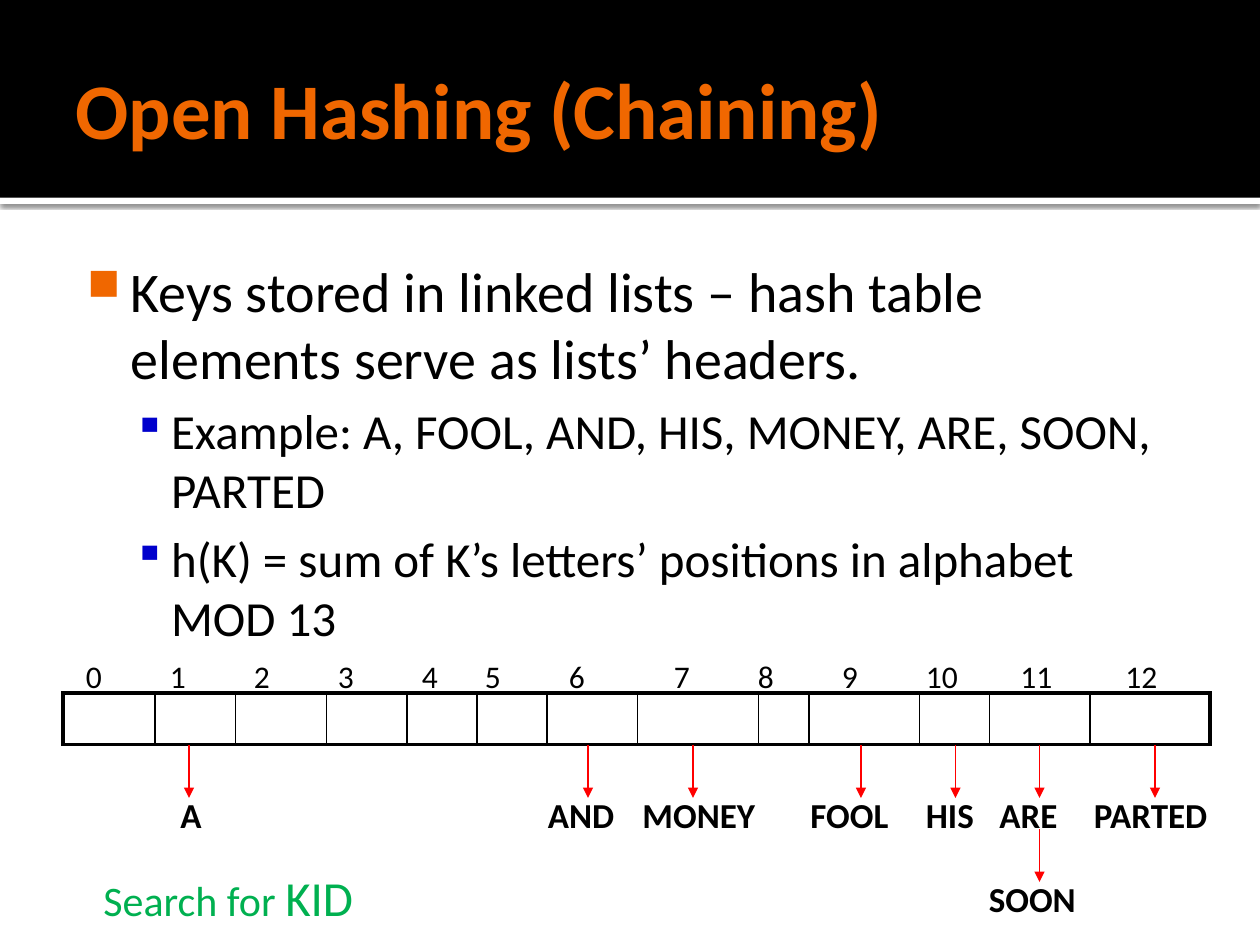
from lxml import etree
from pptx import Presentation
from pptx.dml.color import RGBColor
from pptx.enum.shapes import MSO_CONNECTOR, MSO_SHAPE
from pptx.enum.text import MSO_ANCHOR, PP_ALIGN
from pptx.oxml import parse_xml
from pptx.util import Pt

LEFT, MIDDLE, TOP = PP_ALIGN.LEFT, MSO_ANCHOR.MIDDLE, MSO_ANCHOR.TOP
RECT, STRAIGHT = MSO_SHAPE.RECTANGLE, MSO_CONNECTOR.STRAIGHT
NS = "http://schemas.openxmlformats.org/drawingml/2006/main"
FONT = "Calibri"
BLACK, WHITE, ORANGE, BLUE, RED, GREEN = "000000", "FFFFFF", "F06700", "0000CC", "FF0000", "00B050"

TITLE = "Open Hashing (Chaining)"
BODY = [
    (0, "Keys stored in linked lists – hash table elements serve as lists’ headers."),
    (1, "Example: A, FOOL, AND, HIS, MONEY, ARE, SOON, PARTED"),
    (1, "h(K) = sum of K’s letters’ positions in alphabet MOD 13"),
]
LEVELS = [
    dict(size=32, margin=34.5, indent=-25, char="■", color=ORANGE, pct=80, before=0),
    dict(size=28, margin=57.5, indent=-21.5, char="▪", color=BLUE, pct=90, before=5.6),
]
BUCKET_WIDTHS = [52.5, 46, 52, 46, 40, 40, 52, 69, 29, 63, 40, 57.5, 68.5]
INDEX_LEFTS = [42, 90, 138, 186, 234, 270, 318, 378, 426, 474, 522, 576, 636]
CHAIN_NODES = [
    ("A", 96, 24, 108, 0),
    ("AND", 306, 60, 336, 0),
    ("MONEY", 360, 96, 396, 0),
    ("FOOL", 456, 78, 492, 0),
    ("HIS", 522, 54, 546, 0),
    ("ARE", 564, 60, 594, 0),
    ("PARTED", 618, 102, 660, 0),
    ("SOON", 558, 72, 594, 1),
]
TABLE_LEFT, TABLE_TOP, ROW_HEIGHT = 36, 396, 29.5
ARROW_TOP, ARROW_LENGTH, NODE_TOP, CHAIN_STEP = 426, 30, 450, 48


def rgb(value):
    return RGBColor.from_string(value)


def add_run(p, text, size=20, color=BLACK, bold=False):
    r = p.add_run()
    r.text = text
    r.font.name, r.font.size, r.font.bold = FONT, Pt(size), bold
    r.font.color.rgb = rgb(color)
    return r


def set_frame(tf, insets=(7.2, 3.6, 7.2, 3.6), anchor=TOP, wrap=True):
    tf.word_wrap, tf.vertical_anchor = wrap, anchor
    tf.margin_left, tf.margin_top, tf.margin_right, tf.margin_bottom = map(Pt, insets)


def add_text(box, runs, insets=(7.2, 3.6, 7.2, 3.6), wrap=True, **fmt):
    tf = s.shapes.add_textbox(*map(Pt, box)).text_frame
    set_frame(tf, insets, wrap=wrap)
    for text, size in runs:
        add_run(tf.paragraphs[0], text, size, **fmt)
    return tf


def add_bar(top, height, color):
    sp = s.shapes.add_shape(RECT, 0, Pt(top), prs.slide_width, Pt(height))
    sp.shadow.inherit = False
    sp.fill.solid()
    sp.fill.fore_color.rgb = rgb(color)
    sp.line.fill.background()
    return sp


def add_bullet(p, level):
    pPr = p._p.get_or_add_pPr()
    pPr.set("marL", str(Pt(level["margin"])))
    pPr.set("indent", str(Pt(level["indent"])))
    for xml in (
        f'<a:buClr xmlns:a="{NS}"><a:srgbClr val="{level["color"]}"/></a:buClr>',
        f'<a:buSzPct xmlns:a="{NS}" val="{level["pct"] * 1000}"/>',
        f'<a:buChar xmlns:a="{NS}" char="{level["char"]}"/>',
    ):
        pPr.append(parse_xml(xml))


def add_arrow(x, top):
    line = s.shapes.add_connector(STRAIGHT, Pt(x), Pt(top), Pt(x), Pt(top + ARROW_LENGTH))
    line.line.color.rgb, line.line.width = rgb(RED), Pt(1)
    etree.SubElement(line.line._get_or_add_ln(), f"{{{NS}}}tailEnd", type="triangle")
    etree.SubElement(line._element.spPr, f"{{{NS}}}effectLst")


def set_borders(cell, **widths):
    tcPr = cell._tc.get_or_add_tcPr()
    for i, (side, width) in enumerate(widths.items()):
        tcPr.insert(i, parse_xml(
            f'<a:ln{side} xmlns:a="{NS}" w="{Pt(width)}"><a:solidFill>'
            f'<a:srgbClr val="{BLACK}"/></a:solidFill></a:ln{side}>'))


prs = Presentation()
prs.slide_width, prs.slide_height = Pt(720), Pt(540)
s = prs.slides.add_slide(prs.slide_layouts[5])

rule = add_bar(113, 3.6, WHITE)
rule._element.spPr.find(f"{{{NS}}}effectLst").append(parse_xml(
    f'<a:outerShdw xmlns:a="{NS}" blurRad="{Pt(2.5)}" dist="{Pt(0.8)}" dir="5400000">'
    f'<a:srgbClr val="{BLACK}"><a:alpha val="60000"/></a:srgbClr></a:outerShdw>'))
add_bar(0, 113, BLACK)

title = s.shapes.title
title.left, title.top, title.width, title.height = map(Pt, (36, 12, 648, 99))
set_frame(title.text_frame, (7.2, 3.6, 3.6, 3.6), MIDDLE)
p = title.text_frame.paragraphs[0]
p.alignment = LEFT
add_run(p, TITLE, 45, ORANGE, True)
s.shapes._spTree.append(title._element)

tf = add_text((36, 139.5, 648, 364.5), [], (4.3, 7.2, 7.2, 3.6))
for i, (depth, text) in enumerate(BODY):
    p = tf.add_paragraph() if i else tf.paragraphs[0]
    level = LEVELS[depth]
    p.level, p.space_before = depth, Pt(level["before"])
    add_bullet(p, level)
    add_run(p, text, level["size"])

last = len(BUCKET_WIDTHS) - 1
table = s.shapes.add_table(1, last + 1, Pt(TABLE_LEFT), Pt(TABLE_TOP),
                           Pt(sum(BUCKET_WIDTHS)), Pt(ROW_HEIGHT)).table
table.first_row = table.horz_banding = False
table.rows[0].height = Pt(ROW_HEIGHT)
for i, width in enumerate(BUCKET_WIDTHS):
    table.columns[i].width = Pt(width)
    cell = table.cell(0, i)
    cell.fill.background()
    set_borders(cell, L=1 if i else 2.25, R=1 if i < last else 2.25, T=2.25, B=2.25)

for i, x in enumerate(INDEX_LEFTS):
    add_text((x, 372, 42, 29), [(str(i), 18)])

for key, x, width, arrow_x, depth in CHAIN_NODES:
    drop = depth * CHAIN_STEP
    add_arrow(arrow_x, ARROW_TOP + drop)
    add_text((x, NODE_TOP + drop, width, 31), [(key, 20)], bold=True)

add_text((52, 492, 171, 41), [("Search for ", 24), ("KID", 28)], wrap=False, color=GREEN)

prs.save("out.pptx")
